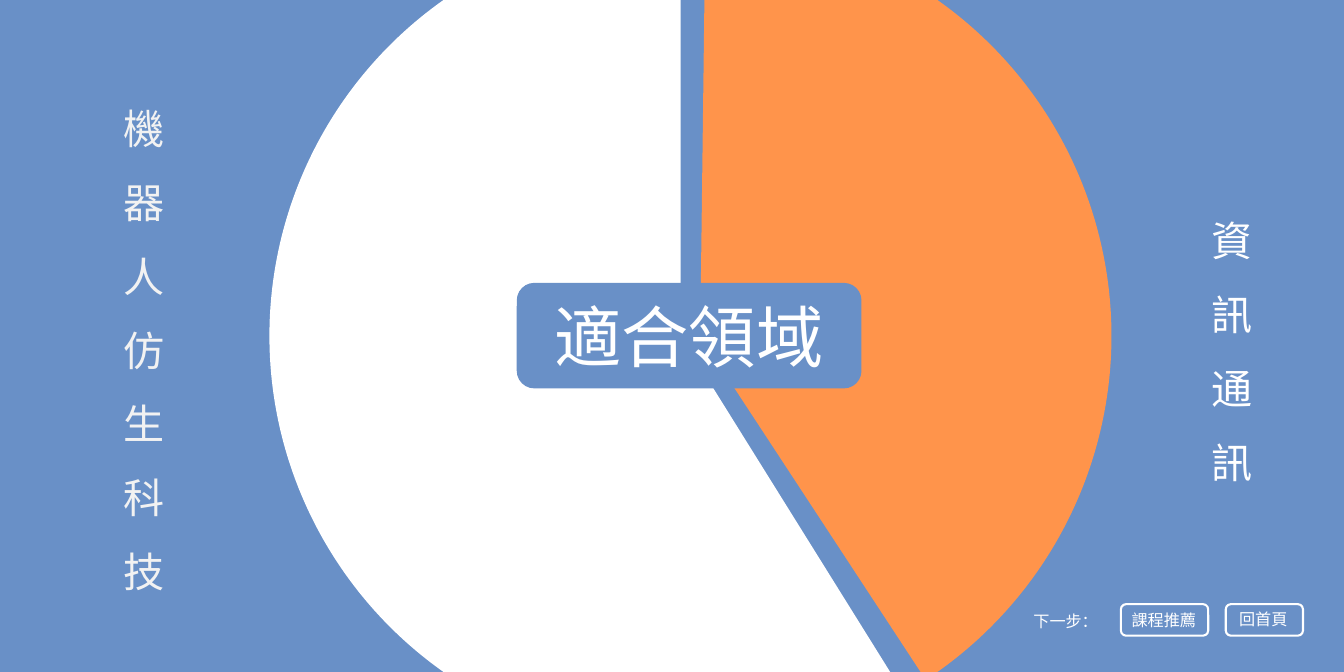
from dataclasses import dataclass

from lxml.etree import SubElement
from pptx import Presentation
from pptx.dml.color import RGBColor
from pptx.enum.shapes import MSO_SHAPE
from pptx.enum.text import MSO_ANCHOR, MSO_AUTO_SIZE, PP_ALIGN
from pptx.oxml.ns import qn
from pptx.util import Inches, Pt


@dataclass(frozen=True)
class Theme:
    """Colours, font and type sizes of the slide."""
    blue: str = "6990C7"
    orange: str = "FF944B"
    white: str = "FFFFFF"
    soft_white: str = "F2F2F2"
    font: str = "Noto Sans CJK TC"
    title_size: float = 72
    field_size: float = 44
    button_size: float = 17.3
    line_height: float = 1.2
    outline: float = 2.25


class FieldSlide:
    """Draws the elements of one slide on a grid of 20 columns and 10 rows."""
    columns, rows = 20, 10

    def __init__(self, presentation, theme):
        """Add a title-only slide with the theme's background."""
        self.theme = theme
        self.column = presentation.slide_width / self.columns
        self.row = presentation.slide_height / self.rows
        self.slide = presentation.slides.add_slide(presentation.slide_layouts[5])
        background = self.slide.background.fill
        background.solid()
        background.fore_color.rgb = RGBColor.from_string(theme.blue)

    def box(self, left, top, width, height):
        """Turn columns and rows into slide lengths."""
        return (round(left * self.column), round(top * self.row),
                round(width * self.column), round(height * self.row))

    def set_words(self, shape, words, size, color, spacing=1):
        """Put one left-aligned run in a shape."""
        frame = shape.text_frame
        frame.word_wrap = True
        frame.auto_size = MSO_AUTO_SIZE.SHAPE_TO_FIT_TEXT
        frame.vertical_anchor = MSO_ANCHOR.TOP
        paragraph = frame.paragraphs[0]
        paragraph.alignment = PP_ALIGN.LEFT
        paragraph.line_spacing = Pt(size * self.theme.line_height * spacing)
        run = paragraph.add_run()
        run.text = words
        run.font.size = Pt(size)
        run.font.color.rgb = RGBColor.from_string(color)
        run.font.name = self.theme.font
        east_asian = SubElement(run.font._element, qn("a:ea"))
        east_asian.set("typeface", self.theme.font)

    def text(self, words, place, size, color, spacing=1):
        """Add a text box."""
        shape = self.slide.shapes.add_textbox(*self.box(*place))
        self.set_words(shape, words, size, color, spacing)

    def title(self, words, place):
        """Place the title in front of everything drawn so far."""
        title = self.slide.shapes.title
        title.left, title.top, title.width, title.height = self.box(*place)
        self.set_words(title, words, self.theme.title_size, self.theme.white)
        title.element.getparent().append(title.element)

    def shape(self, kind, place, fill=None, line=None):
        """Add a preset shape without shadow."""
        shape = self.slide.shapes.add_shape(kind, *self.box(*place))
        shape.shadow.inherit = False
        if fill:
            shape.fill.solid()
            shape.fill.fore_color.rgb = RGBColor.from_string(fill)
        else:
            shape.fill.background()
        if line:
            shape.line.color.rgb = RGBColor.from_string(line)
            shape.line.width = Pt(self.theme.outline)
        else:
            shape.line.fill.background()
        return shape

    def sector(self, left, start, end, color):
        """Add a pie sector between two angles in degrees."""
        diameter = 12.24
        top = (self.rows - diameter) / 2
        sector = self.shape(MSO_SHAPE.PIE, (left, top, diameter, diameter), color)
        sector.adjustments[0] = start * 0.6
        sector.adjustments[1] = end * 0.6

    def button(self, words, left, width, text_place):
        """Add an outlined button and its label."""
        self.shape(MSO_SHAPE.ROUNDED_RECTANGLE, (left, 8.99, width, 0.47),
                   line=self.theme.white)
        self.text(words, text_place, self.theme.button_size, self.theme.white)


def main():
    """Build and save the slide."""
    theme = Theme()
    presentation = Presentation()
    presentation.slide_width = Inches(20)
    presentation.slide_height = Inches(10)
    page = FieldSlide(presentation, theme)

    page.text("機器人仿生科技", (1.74, 1.12, 0.86, 7.76),
              theme.field_size, theme.soft_white, 1.5)
    page.text("資訊通訊", (17.93, 2.79, 0.33, 4.43),
              theme.field_size, theme.white, 1.5)

    page.sector(4.01, 58.06, 270, theme.white)
    page.sector(4.3, 270.72, 56.74, theme.orange)
    page.shape(MSO_SHAPE.FLOWCHART_ALTERNATE_PROCESS,
               (7.69, 4.21, 5.13, 1.57), theme.blue)
    page.title("適合領域", (8.15, 4.34, 6.7, 1.31))

    page.button("回首頁", 18.24, 1.15, (18.34, 9.02, 1.51, 0.39))
    page.button("課程推薦", 16.68, 1.3, (16.74, 9.03, 1.47, 0.39))
    page.text("下一步：", (15.28, 9.05, 1.23, 0.39),
              theme.button_size, theme.white)

    presentation.save("out.pptx")


if __name__ == "__main__":
    main()
